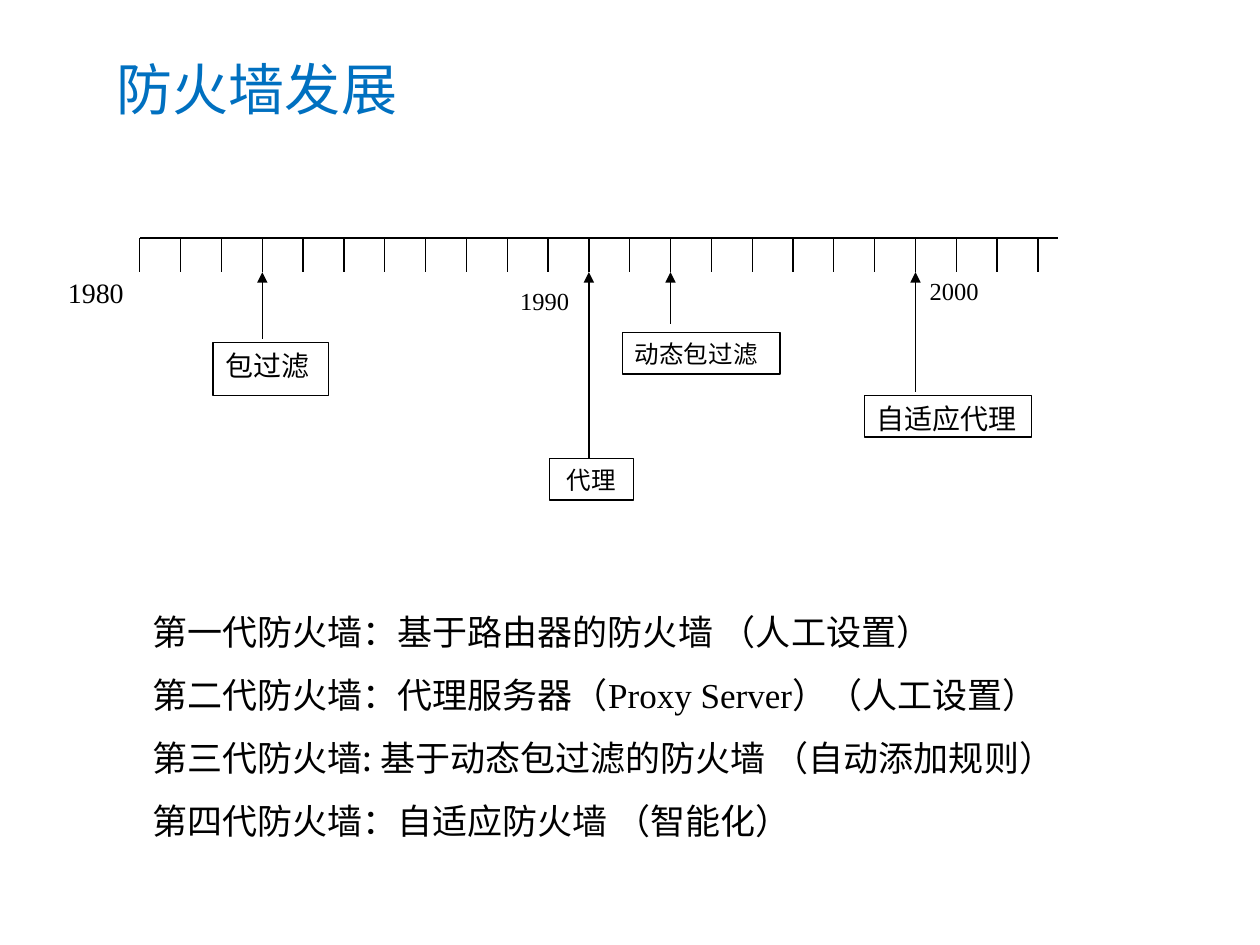
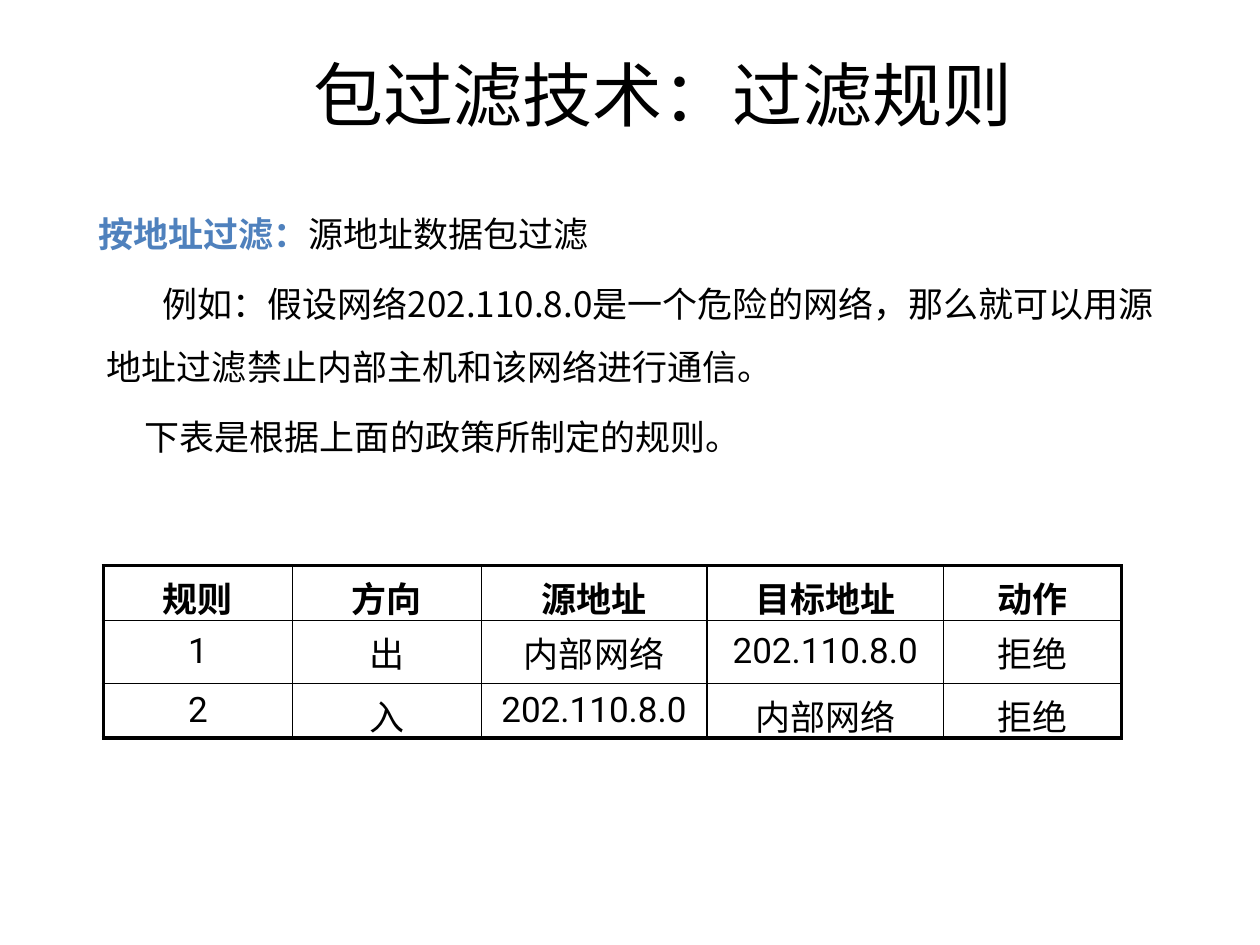
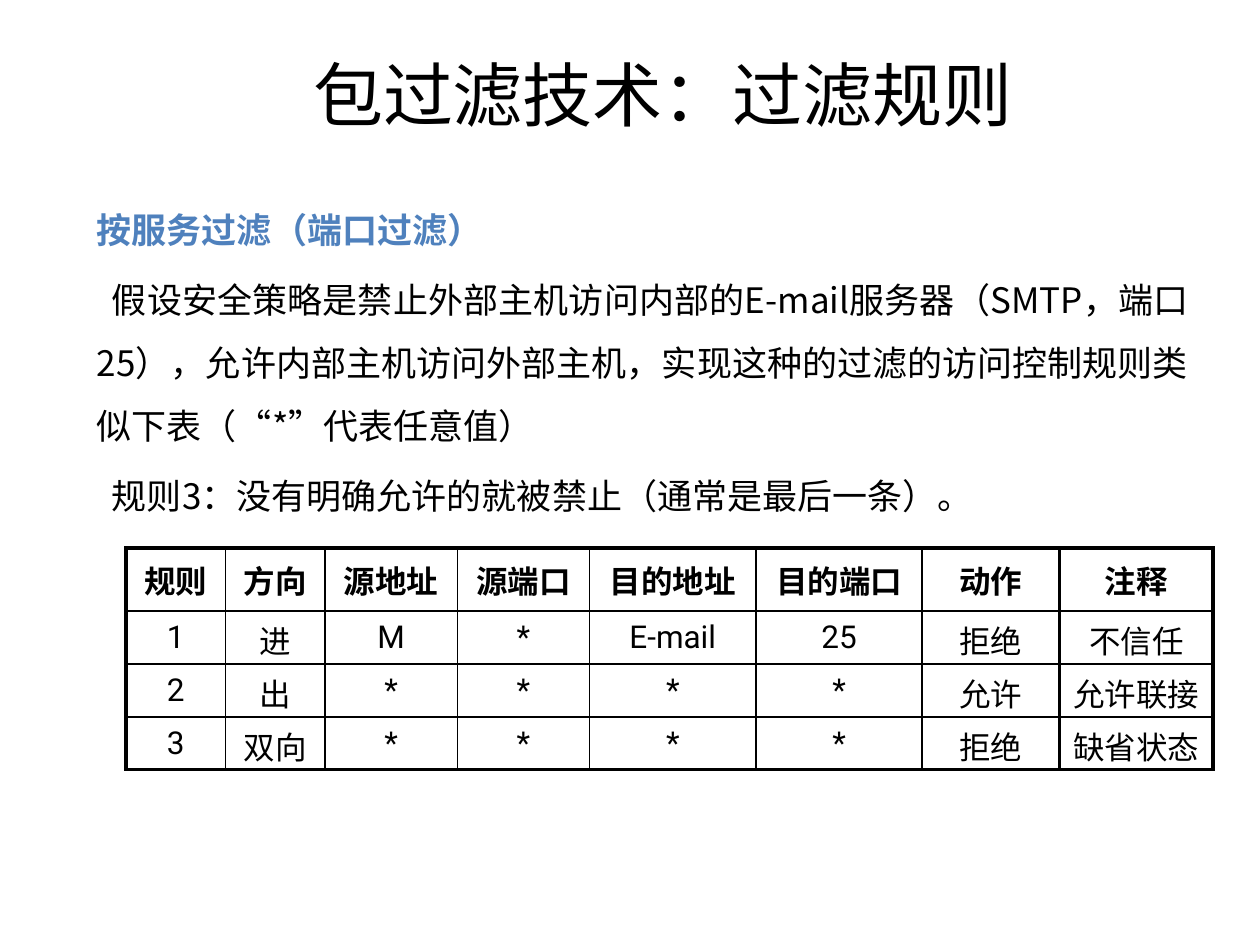
from pptx import Presentation
from pptx.dml.color import RGBColor
from pptx.enum.shapes import MSO_CONNECTOR as Connector, MSO_SHAPE as Shape
from pptx.enum.text import MSO_ANCHOR as Anchor, MSO_AUTO_SIZE as AutoSize, PP_ALIGN as Align
from pptx.oxml.ns import qn
from pptx.util import Inches, Pt
from lxml.etree import SubElement

BLACK = RGBColor(0x00, 0x00, 0x00)
WHITE = RGBColor(0xFF, 0xFF, 0xFF)
TITLE_BLUE = RGBColor(0x00, 0x70, 0xC0)
HEADING_BLUE = RGBColor(0x4F, 0x81, 0xBD)

CHINESE = "Noto Sans CJK SC"
SERIF = "Times New Roman"
TABLE_FONT = "Roboto"
TITLE_FONT = "Calibri"

THIN, THICK = 1, 2.25
AXIS_LEFT, AXIS_RIGHT, AXIS_TOP, TICK_BOTTOM = 1.11, 8.4, 1.89, 2.16
TICK_COUNT, TICK_STEP = 23, 0.324


def add_run(paragraph, text, size, font=CHINESE, color=BLACK, bold=False):
    """Add a run with its Latin and East Asian fonts."""
    run = paragraph.add_run()
    run.text = text
    run.font.size = Pt(size)
    run.font.name = font
    run.font.bold = bold
    run.font.color.rgb = color
    SubElement(run.font._element, qn("a:ea")).set("typeface", CHINESE)


def add_text_box(slide, left, top, width, height, wrap=True):
    """Add an empty text box and return its text frame."""
    box = slide.shapes.add_textbox(Inches(left), Inches(top), Inches(width), Inches(height))
    box.text_frame.word_wrap = wrap
    return box.text_frame


def next_paragraph(frame, index, align=Align.LEFT, line_spacing=1.5, space_before=0, margin=0, indent=0):
    """Return the paragraph at the end of the frame, formatted."""
    paragraph = frame.add_paragraph() if index else frame.paragraphs[0]
    paragraph.alignment = align
    paragraph.line_spacing = line_spacing
    paragraph.space_before = Pt(space_before)
    properties = paragraph._p.get_or_add_pPr()
    properties.set("marL", str(Inches(margin)))
    properties.set("indent", str(Inches(indent)))
    return paragraph


def add_rules_title(slide):
    """Add the centred title of the filter rule slides."""
    frame = add_text_box(slide, 1, 0.33, 8.52, 0.83)
    frame.vertical_anchor = Anchor.MIDDLE
    paragraph = next_paragraph(frame, 0, Align.CENTER, 1)
    add_run(paragraph, "包过滤技术：过滤规则", 40, TITLE_FONT)


def add_label(slide, text, left, top, width, height, size, font=CHINESE, border=BLACK, align=Align.JUSTIFY):
    """Add a white timeline label with a thin border."""
    label = slide.shapes.add_shape(
        Shape.RECTANGLE, Inches(left), Inches(top), Inches(width), Inches(height))
    label.shadow.inherit = False
    label.fill.solid()
    label.fill.fore_color.rgb = WHITE
    label.line.color.rgb = border
    label.line.width = Pt(0.75)
    label.text_frame.vertical_anchor = Anchor.TOP
    add_run(next_paragraph(label.text_frame, 0, align, 1), text, size, font)


def add_line(slide, x1, y1, x2, y2, arrow=False):
    """Add a thin black line, with an arrowhead at its end if asked."""
    line = slide.shapes.add_connector(
        Connector.STRAIGHT, Inches(x1), Inches(y1), Inches(x2), Inches(y2))
    line.line.color.rgb = BLACK
    line.line.width = Pt(0.75)
    if arrow:
        SubElement(line.line._get_or_add_ln(), qn("a:tailEnd")).set("type", "triangle")
    SubElement(line._element.spPr, qn("a:effectLst"))


def set_borders(cell, widths):
    """Draw the left, right, top and bottom borders of a cell."""
    properties = cell._tc.get_or_add_tcPr()
    for position, (side, width) in enumerate(zip("LRTB", widths)):
        border = SubElement(properties, qn(f"a:ln{side}"), w=str(Pt(width)))
        fill = SubElement(border, qn("a:solidFill"))
        SubElement(fill, qn("a:srgbClr")).set("val", str(BLACK))
        properties.remove(border)
        properties.insert(position, border)


def add_rule_table(slide, left, top, column_widths, row_heights, rows, size, thick_columns=()):
    """Add a rule table with a thick frame and a bold header row."""
    row_count, column_count = len(rows), len(column_widths)
    table = slide.shapes.add_table(
        row_count, column_count, Inches(left), Inches(top),
        Inches(sum(column_widths)), Inches(sum(row_heights))).table
    table.first_row = table.horz_banding = False
    for column, width in zip(table.columns, column_widths):
        column.width = Inches(width)
    for row, height in zip(table.rows, row_heights):
        row.height = Inches(height)
    thick_edges = {0, column_count, *thick_columns}
    for i, row in enumerate(rows):
        for j, text in enumerate(row):
            cell = table.cell(i, j)
            cell.fill.background()
            cell.vertical_anchor = Anchor.MIDDLE
            paragraph = next_paragraph(cell.text_frame, 0, Align.CENTER, 1, size * 0.2)
            add_run(paragraph, text, size, TABLE_FONT, bold=i == 0)
            thick = (j in thick_edges, j + 1 in thick_edges, i == 0, i + 1 == row_count)
            set_borders(cell, [THICK if edge else THIN for edge in thick])


def add_timeline(slide):
    """Add the labels, the ruler and the arrows of the timeline."""
    add_label(slide, "代理", 4.36, 3.64, 0.67, 0.33, 14, align=Align.CENTER)
    add_label(slide, "动态包过滤", 4.94, 2.64, 1.25, 0.33, 14)
    add_label(slide, "包过滤", 1.69, 2.72, 0.92, 0.42, 16)
    add_label(slide, "自适应代理", 6.86, 3.14, 1.33, 0.33, 16, SERIF)
    add_label(slide, "1980", 0.44, 2.14, 0.92, 0.25, 16, SERIF, WHITE)
    add_label(slide, "1990", 4.03, 2.22, 0.67, 0.25, 14, SERIF, WHITE)
    add_label(slide, "2000", 7.28, 2.14, 0.67, 0.25, 14, SERIF, WHITE)
    add_line(slide, AXIS_LEFT, AXIS_TOP, AXIS_RIGHT, AXIS_TOP)
    ticks = [AXIS_LEFT + TICK_STEP * i for i in range(TICK_COUNT)]
    for x in ticks:
        add_line(slide, x, AXIS_TOP, x, TICK_BOTTOM)
    for tick, start in ((3, 2.69), (11, 3.64), (13, 2.57), (19, 3.11)):
        add_line(slide, ticks[tick], start, ticks[tick], TICK_BOTTOM, arrow=True)


def build_history_slide(slide):
    """Build the firewall history slide."""
    add_timeline(slide)
    generations = [
        [("第一代防火墙：基于路由器的防火墙 （人工设置）", CHINESE)],
        [("第二代防火墙：代理服务器（", CHINESE), ("Proxy Server", SERIF), ("）（人工设置）", CHINESE)],
        [("第三代防火墙: 基于动态包过滤的防火墙 （自动添加规则）", CHINESE)],
        [("第四代防火墙：自适应防火墙 （智能化）", CHINESE)],
    ]
    frame = add_text_box(slide, 1.11, 4.63, 8.14, 2.04)
    frame.auto_size = AutoSize.SHAPE_TO_FIT_TEXT
    for index, runs in enumerate(generations):
        paragraph = next_paragraph(frame, index)
        for text, font in runs:
            add_run(paragraph, text, 20, font)
    title = add_text_box(slide, 0.83, 0.44, 2.45, 0.59, wrap=False)
    title.auto_size = AutoSize.SHAPE_TO_FIT_TEXT
    paragraph = next_paragraph(title, 0, line_spacing=0.9, space_before=6.4)
    add_run(paragraph, "防火墙发展", 32, color=TITLE_BLUE)


def build_address_slide(slide):
    """Build the slide on filtering by address."""
    frame = add_text_box(slide, 0.37, 1.47, 9, 2.67)
    paragraph = next_paragraph(frame, 0, space_before=4, margin=0.31)
    add_run(paragraph, "按地址过滤：", 20, color=HEADING_BLUE, bold=True)
    add_run(paragraph, "源地址数据包过滤", 20)
    paragraph = next_paragraph(frame, 1, space_before=4, margin=0.38, indent=0.44)
    add_run(paragraph, "例如：假设网络202.110.8.0是一个危险的网络，那么就可以用"
                       "源地址过滤禁止内部主机和该网络进行通信。", 20)
    paragraph = next_paragraph(frame, 2, space_before=4, margin=0.38, indent=0.3)
    add_run(paragraph, "下表是根据上面的政策所制定的规则。", 20)
    rows = [
        ("规则", "方向", "源地址", "目标地址", "动作"),
        ("1", "出", "内部网络", "202.110.8.0", "拒绝"),
        ("2", "入", "202.110.8.0", "内部网络", "拒绝"),
    ]
    add_rule_table(slide, 0.82, 4.49, (1.5, 1.5, 1.79, 1.88, 1.41), (0.43, 0.5, 0.42), rows, 20)
    add_rules_title(slide)


def build_service_slide(slide):
    """Build the slide on filtering by service."""
    frame = add_text_box(slide, 0.67, 1.44, 8.86, 2.9)
    paragraph = next_paragraph(frame, 0, Align.JUSTIFY, space_before=4)
    add_run(paragraph, "按服务过滤（端口过滤）", 20, color=HEADING_BLUE, bold=True)
    texts = [
        "假设安全策略是禁止外部主机访问内部的E-mail服务器（SMTP，端口25），允许内部主机"
        "访问外部主机，实现这种的过滤的访问控制规则类似下表（“*”代表任意值）",
        "规则3：没有明确允许的就被禁止（通常是最后一条）。",
    ]
    for index, text in enumerate(texts, 1):
        paragraph = next_paragraph(frame, index, Align.JUSTIFY, space_before=4, indent=0.12)
        add_run(paragraph, text, 20)
    rows = [
        ("规则", "方向", "源地址", "源端口", "目的地址", "目的端口", "动作", "注释"),
        ("1", "进", "M", "*", "E-mail", "25", "拒绝", "不信任"),
        ("2", "出", "*", "*", "*", "*", "允许", "允许联接"),
        ("3", "双向", "*", "*", "*", "*", "拒绝", "缺省状态"),
    ]
    widths = (0.79, 0.79, 1.05, 1.05, 1.32, 1.32, 1.09, 1.22)
    add_rule_table(slide, 1, 4.35, widths, (0.5, 0.42, 0.42, 0.42), rows, 18, thick_columns=(7,))
    add_rules_title(slide)


def main():
    """Build and save the presentation."""
    presentation = Presentation()
    presentation.slide_width = Inches(10)
    presentation.slide_height = Inches(7.5)
    for build in (build_history_slide, build_address_slide, build_service_slide):
        build(presentation.slides.add_slide(presentation.slide_layouts[6]))
    presentation.save("out.pptx")


main()
